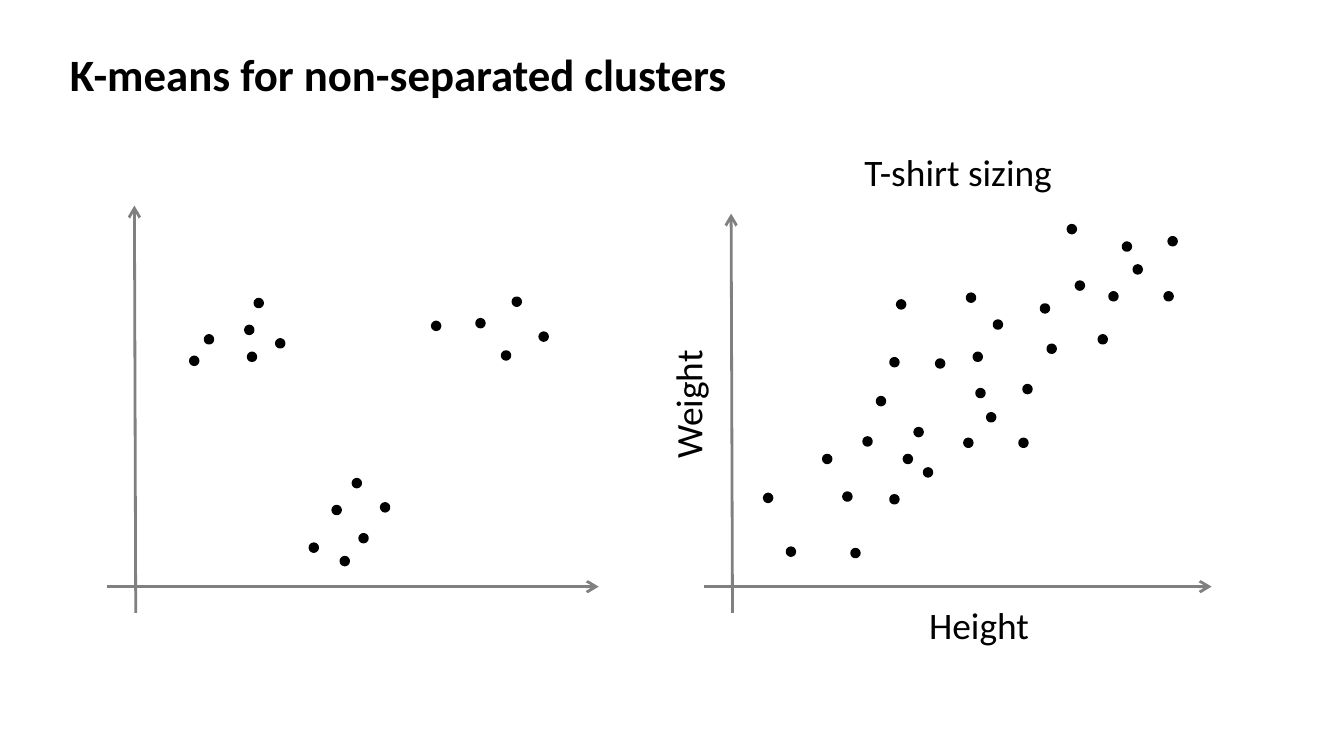
from dataclasses import dataclass

from lxml.etree import SubElement
from pptx import Presentation
from pptx.dml.color import RGBColor
from pptx.enum.shapes import MSO_CONNECTOR, MSO_SHAPE
from pptx.enum.text import MSO_ANCHOR, PP_ALIGN
from pptx.oxml.ns import qn
from pptx.util import Inches, Pt


@dataclass(frozen=True)
class Theme:
    """Colours, type sizes and line widths of the slide."""
    font: str = "Calibri"
    ink: RGBColor = RGBColor(0, 0, 0)
    axis: RGBColor = RGBColor(0x80, 0x80, 0x80)
    paper: RGBColor = RGBColor(0xFF, 0xFF, 0xFF)
    head: int = 24
    label: int = 20
    rule: float = 1.5
    rim: float = 2
    dot: float = 0.5


THEME = Theme()
WIDE = Inches(10)
HIGH = WIDE * 9 // 16
COLS = 100

GROUPS = [
    (22.4, 19.4), (27.6, 17.2), (28.4, 21.2), (30.4, 18.6), (25.7, 19.6),
    (8.5, 19.1), (4.4, 16.8), (10.8, 18.1), (9.2, 21.1), (8.7, 17.1), (5.5, 18.4),
    (15.6, 1.9), (17, 3.6), (15, 5.7), (18.6, 5.9), (13.3, 2.9), (16.5, 7.7),
]
SIZES = [
    (8.6, 6.7), (22, 14.7), (11.1, 13.8), (21.7, 10.7), (10.1, 10.8), (19.3, 12.6),
    (23.8, 17.7), (19.8, 19.5), (25.9, 22.4), (15.5, 16.6), (12.1, 6.5), (13.9, 11.5),
    (13.1, 9.5), (4.4, 2.6), (9.2, 2.5), (7.1, 9.5), (14.6, 8.5), (2.7, 6.6),
    (12.1, 16.7), (18.5, 14.4), (17.8, 21.5), (18.3, 17.1), (12.6, 21), (17.6, 10.7),
    (25.3, 26.6), (23.3, 20.7), (27.6, 18.4), (32.8, 25.7), (32.5, 21.6),
    (30.2, 23.6), (29.4, 25.3), (28.4, 21.6),
]


def grid(*cells):
    """Turn counts of grid cells into slide lengths."""
    return [round(WIDE * cell / COLS) for cell in cells]


def write(shape, text, size=THEME.label, bold=False, align=PP_ALIGN.CENTER):
    """Put one formatted line of text into a shape."""
    frame = shape.text_frame
    frame.word_wrap = True
    frame.vertical_anchor = MSO_ANCHOR.MIDDLE
    line = frame.paragraphs[0]
    line.alignment = align
    run = line.add_run()
    run.text = text
    run.font.name, run.font.size, run.font.bold = THEME.font, Pt(size), bold
    run.font.color.rgb = THEME.ink


def label(slide, box, text, turn=0):
    """Add a centred label in a box of grid cells."""
    shape = slide.shapes.add_textbox(*grid(*box))
    shape.rotation = turn
    write(shape, text)


def arrow(slide, start, end):
    """Add an axis line with an open head at its end."""
    line = slide.shapes.add_connector(MSO_CONNECTOR.STRAIGHT, *grid(*start, *end))
    line.line.color.rgb = THEME.axis
    line.line.width = Pt(THEME.rule)
    SubElement(line.line._get_or_add_ln(), qn("a:tailEnd"), type="arrow")
    SubElement(line._element.spPr, qn("a:effectLst"))


def dot(slide, x, y):
    """Add a data point centred on a grid place."""
    size = THEME.dot
    box = grid(x - size / 2, y - size / 2, size, size)
    shape = slide.shapes.add_shape(MSO_SHAPE.OVAL, *box)
    shape.shadow.inherit = False
    shape.fill.solid()
    shape.fill.fore_color.rgb = THEME.ink
    shape.line.color.rgb = THEME.ink
    shape.line.width = Pt(THEME.rim)


def plot(slide, box, points):
    """Draw axes across the box and points measured from their crossing."""
    left, top, width, height = box
    right, base = left + width, top + height
    zero_x, zero_y = left + 2.1, base - 1.95
    arrow(slide, (zero_x + 0.05, base), (zero_x - 0.05, top))
    arrow(slide, (left, zero_y), (right, zero_y))
    for x, y in points:
        dot(slide, zero_x + x, zero_y - y)


def names(slide, box):
    """Label the plot in the box above, below and at its left."""
    left, top, width, height = box
    label(slide, (left - 1.4, top - 5.3, 40.7, 4.4), "T-shirt sizing")
    label(slide, (left + 12.5, top + height - 1.3, 16, 4.4), "Height")
    label(slide, (left - 10.9, top + 12, 19.4, 4.4), "Weight", turn=270)


def title(slide, box, text):
    """Place and format the title in its box."""
    shape = slide.shapes.title
    shape.left, shape.top, shape.width, shape.height = grid(*box)
    write(shape, text, size=THEME.head, bold=True, align=PP_ALIGN.LEFT)


def main():
    """Build the slide and save it."""
    deck = Presentation()
    deck.slide_width, deck.slide_height = WIDE, HIGH
    slide = deck.slides.add_slide(deck.slide_layouts.get_by_name("Title Only"))
    slide.background.fill.solid()
    slide.background.fill.fore_color.rgb = THEME.paper
    title(slide, (4.2, 3, 90.8, 5), "K-means for non-separated clusters")
    plot(slide, (7.95, 15.3, 36.6, 30.3), GROUPS)
    shirts = (52.35, 15.9, 37.8, 29.7)
    plot(slide, shirts, SIZES)
    names(slide, shirts)
    deck.save("out.pptx")


if __name__ == "__main__":
    main()
